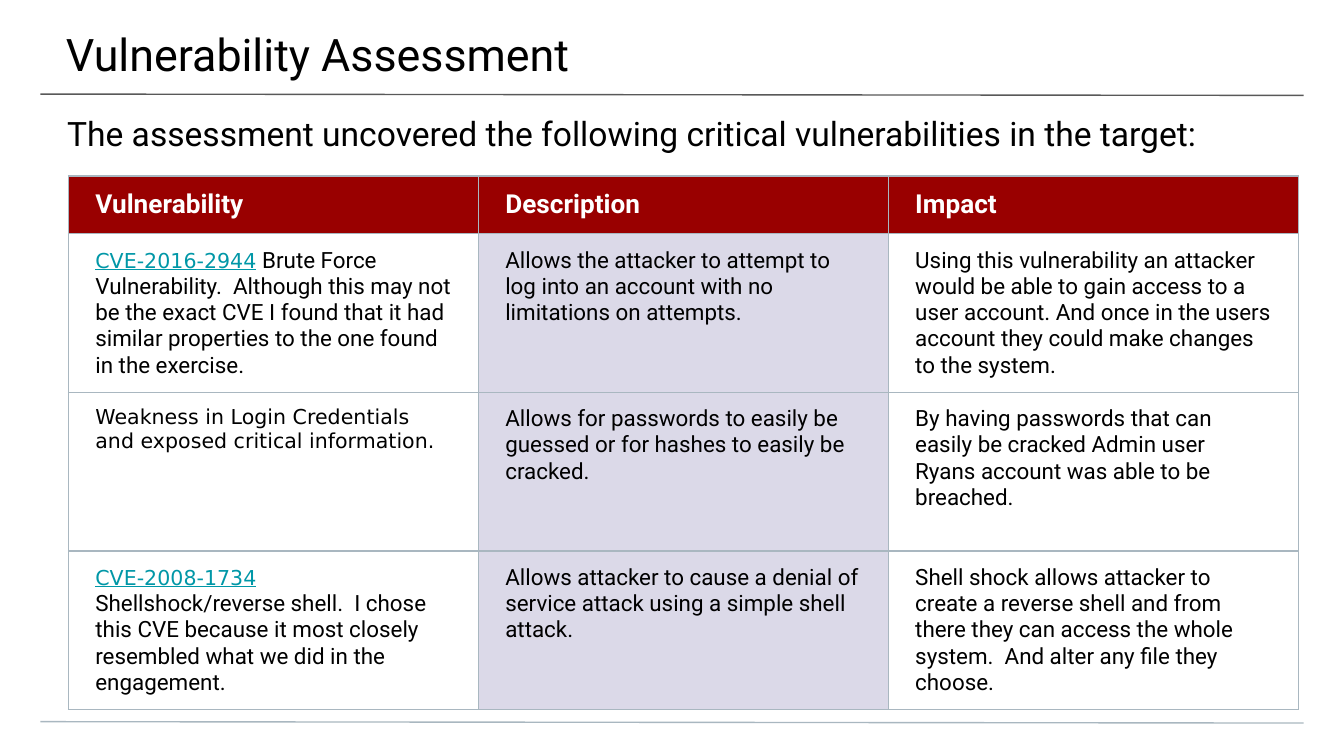
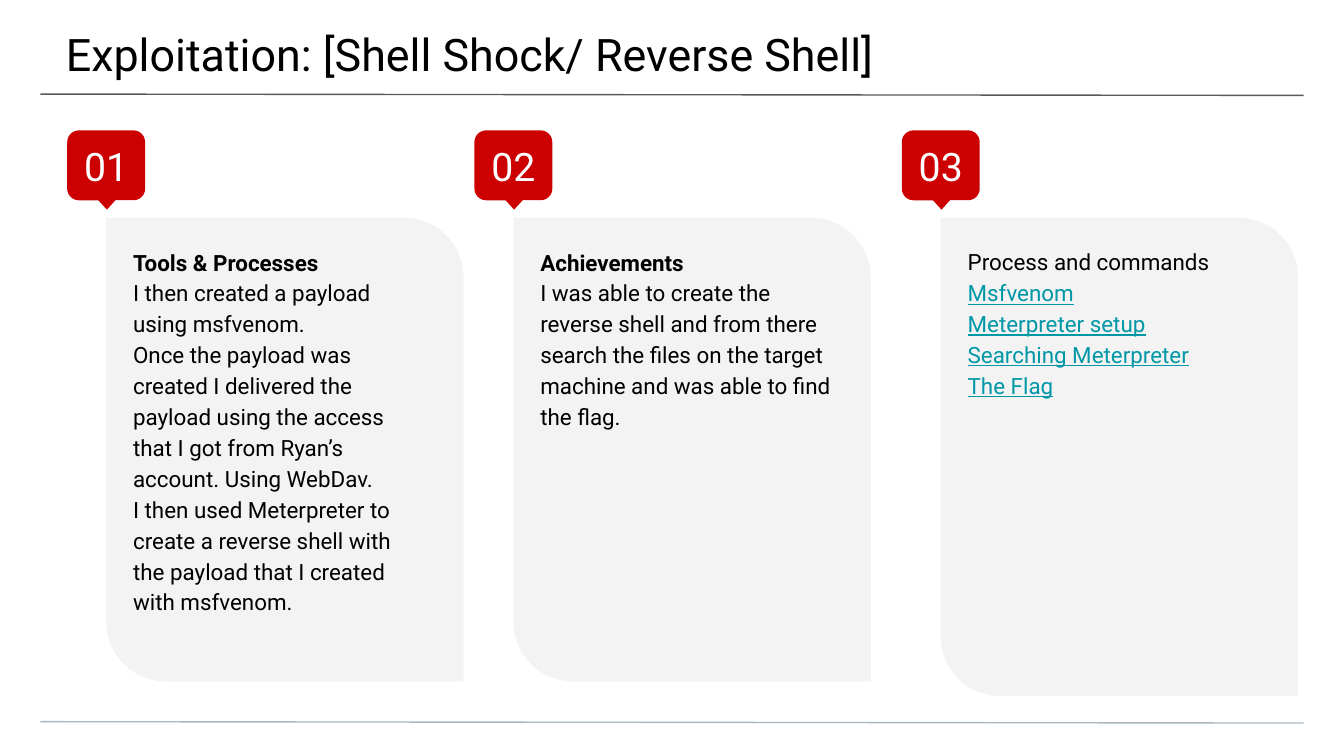
from lxml import etree
from pptx import Presentation
from pptx import util as u
from pptx.dml.color import RGBColor
from pptx.enum import shapes, text
from pptx.oxml import ns

BLACK = RGBColor(0x00, 0x00, 0x00)
WHITE = RGBColor(0xFF, 0xFF, 0xFF)
RULE = RGBColor(0x59, 0x59, 0x59)
EDGE = RGBColor(0xA9, 0xB7, 0xC0)
HEAD = RGBColor(0x99, 0x00, 0x00)
TINT = RGBColor(0xDB, 0xD9, 0xE8)
RED = RGBColor(0xCC, 0x00, 0x00)
CARD = RGBColor(0xF3, 0xF3, 0xF3)
TEAL = RGBColor(0x00, 0x97, 0xA7)
SANS, WIDE = "Roboto", "DejaVu Sans"

WIDTH, HEIGHT = u.Inches(10), u.Inches(5.625)
UNIT = WIDTH / 100  # one square of the layout grid

ROWS = [
    ([("CVE-2016-2944", WIDE, TEAL),
      (" Brute Force Vulnerability.  Although this may not be the exact CVE I "
       "found that it had similar properties to the one found in the exercise.",
       SANS, BLACK)],
     "Allows the attacker to attempt to log into an account with no "
     "limitations on attempts.",
     "Using this vulnerability an attacker would be able to gain access to a "
     "user account. And once in the users account they could make changes to "
     "the system."),
    ([("Weakness in Login Credentials and exposed critical information.",
       WIDE, BLACK)],
     "Allows for passwords to easily be guessed or for hashes to easily be "
     "cracked.",
     "By having passwords that can easily be cracked Admin user Ryans account "
     "was able to be breached."),
    ([("CVE-2008-1734", WIDE, TEAL),
      (" Shellshock/reverse shell.  I chose this CVE because it most closely "
       "resembled what we did in the engagement.", SANS, BLACK)],
     "Allows attacker to cause a denial of service attack using a simple "
     "shell attack.",
     "Shell shock allows attacker to create a reverse shell and from there "
     "they can access the whole system.  And alter any file they choose."),
]

# Left, card height, bold heading, linked lines, heading, lines
STEPS = [
    (5, 34.5, True, False, "Tools & Processes",
     ["I then created a payload using msfvenom.",
      "Once the payload was created I delivered the payload using the access "
      "that I got from Ryan’s account. Using WebDav.",
      "I then used Meterpreter to create a reverse shell with the payload that "
      "I created with msfvenom."]),
    (35.3, 34.5, True, False, "Achievements",
     ["I was able to create the reverse shell and from there search the files "
      "on the target machine and was able to find the flag."]),
    (67.1, 35.6, False, True, "Process and commands",
     ["Msfvenom", "Meterpreter setup", "Searching Meterpreter", "The Flag"]),
]


def grid(*sizes):
    return [round(size * UNIT) for size in sizes]


def style(font, size, color=BLACK, bold=False, name=SANS, line=False):
    font.name, font.size, font.bold = name, u.Pt(size), bold
    font.color.rgb = color
    if line:
        font.underline = True


def inset(frame, left, top, right, low):
    frame.word_wrap = True
    frame.auto_size = text.MSO_AUTO_SIZE.NONE
    frame.vertical_anchor = text.MSO_ANCHOR.TOP
    (frame.margin_left, frame.margin_top,
     frame.margin_right, frame.margin_bottom) = grid(left, top, right, low)


def rule(slide, top, color):
    x, y, end, low = grid(3, top, 97, top + 0.1)
    line = slide.shapes.add_connector(shapes.MSO_CONNECTOR.STRAIGHT,
                                      x, y, end, low)
    line.line.color.rgb, line.line.width = color, u.Pt(0.75)
    etree.SubElement(line._element.spPr, ns.qn("a:effectLst"))


def base(deck, words):
    """Add a slide with its two rules and its title."""
    slide = deck.slides.add_slide(deck.slide_layouts[5])
    rule(slide, 7, RULE)
    rule(slide, 53.7, EDGE)
    title = slide.shapes.title
    title.left, title.top, title.width, title.height = grid(-0.1, 0, 100.3, 5.8)
    frame = title.text_frame
    frame.text = words
    inset(frame, 5, 2, 3, 1)
    para = frame.paragraphs[0]
    para.alignment = text.PP_ALIGN.LEFT
    style(para.font, 24)
    return slide


def lead(slide, box, words):
    frame = slide.shapes.add_textbox(*grid(*box)).text_frame
    inset(frame, 5, 1, 5, 0)
    frame.text = words
    style(frame.paragraphs[0].font, 18)


def border(cell):
    props = cell._tc.get_or_add_tcPr()
    for side in ("lnL", "lnR", "lnT", "lnB"):
        line = etree.SubElement(props, ns.qn("a:" + side), w=str(u.Pt(0.75)))
        fill = etree.SubElement(line, ns.qn("a:solidFill"))
        etree.SubElement(fill, ns.qn("a:srgbClr"), val=str(EDGE))


def paint(cell, fill):
    border(cell)
    cell.margin_left, cell.margin_right = grid(2, 2)
    cell.margin_top, cell.margin_bottom = grid(1, 1)
    if fill is None:
        cell.fill.background()
    else:
        cell.fill.solid()
        cell.fill.fore_color.rgb = fill


def matrix(slide, box, heads, rows, top):
    """Fill the box with a header row of height top and equal body rows."""
    table = slide.shapes.add_table(len(rows) + 1, len(heads), *grid(*box)).table
    table.first_row = table.horz_banding = False
    for col in table.columns:
        col.width = grid(box[2] / len(heads))[0]
    for row in table.rows:
        row.height = grid((box[3] - top) / len(rows))[0]
    table.rows[0].height = grid(top)[0]

    for i, words in enumerate(heads):
        cell = table.cell(0, i)
        paint(cell, HEAD)
        cell.vertical_anchor = text.MSO_ANCHOR.MIDDLE
        cell.text = words
        style(cell.text_frame.paragraphs[0].font, 14, WHITE, True)

    for j, row in enumerate(rows, 1):
        for i, words in enumerate(row):
            cell = table.cell(j, i)
            paint(cell, TINT if i == 1 else None)
            para = cell.text_frame.paragraphs[0]
            if isinstance(words, str):
                para.text = words
                style(para.font, 12)
                continue
            for part, name, color in words:
                run = para.add_run()
                run.text = part
                style(run.font, 11 if name == WIDE else 12, color,
                      name=name, line=color == TEAL)


def solid(parent, kind, box, color):
    shape = parent.shapes.add_shape(kind, *grid(*box))
    shape.shadow.inherit = False
    shape.fill.solid()
    shape.fill.fore_color.rgb = color
    shape.line.fill.background()
    return shape


def badge(slide, x, y, label):
    """Numbered square with a pointer below it."""
    group = slide.shapes.add_group_shape()
    kinds = shapes.MSO_SHAPE
    square = solid(group, kinds.ROUNDED_RECTANGLE, (x, y, 5.8, 5.2), RED)
    frame = square.text_frame
    inset(frame, 1, 1, 1, 1)
    frame.vertical_anchor = text.MSO_ANCHOR.MIDDLE
    frame.text = label
    para = frame.paragraphs[0]
    para.alignment = text.PP_ALIGN.CENTER
    style(para.font, 21, WHITE)
    tip = solid(group, kinds.FLOWCHART_EXTRACT,
                (x + 1.5, y + 4.3, 2.9, 1.6), RED)
    tip.rotation = 180


def panel(slide, box, bold, links, head, lines):
    x, y, wide, high = box
    card = solid(slide, shapes.MSO_SHAPE.ROUND_2_DIAG_RECTANGLE, box, CARD)
    card.adjustments[0], card.adjustments[1] = 0, 0.167
    note = slide.shapes.add_textbox(*grid(x, y, wide - 0.7, high))
    frame = note.text_frame
    inset(frame, 2, 2, 2, 2)
    frame.text = "\n".join([head] + lines)
    for i, para in enumerate(frame.paragraphs):
        para.line_spacing = 1.15
        link = links and i > 0
        style(para.font, 12, TEAL if link else BLACK, bold and i == 0,
              line=link)


def assess(deck):
    slide = base(deck, "Vulnerability Assessment")
    lead(slide, (0, 7.4, 100, 4),
         "The assessment uncovered the following critical vulnerabilities in "
         "the target:")
    matrix(slide, (5.1, 13.1, 91.5, 39.7),
           ["Vulnerability", "Description", "Impact"], ROWS, 4.3)


def exploit(deck):
    slide = base(deck, "Exploitation: [Shell Shock/ Reverse Shell]")
    for i, (x, high, *words) in enumerate(STEPS, 1):
        panel(slide, (x + 2.9, 16.2, 26.6, high), *words)
        badge(slide, x, 9.7, f"{i:02}")


def main():
    deck = Presentation()
    deck.slide_width, deck.slide_height = WIDTH, HEIGHT
    assess(deck)
    exploit(deck)
    deck.save("out.pptx")


if __name__ == "__main__":
    main()
